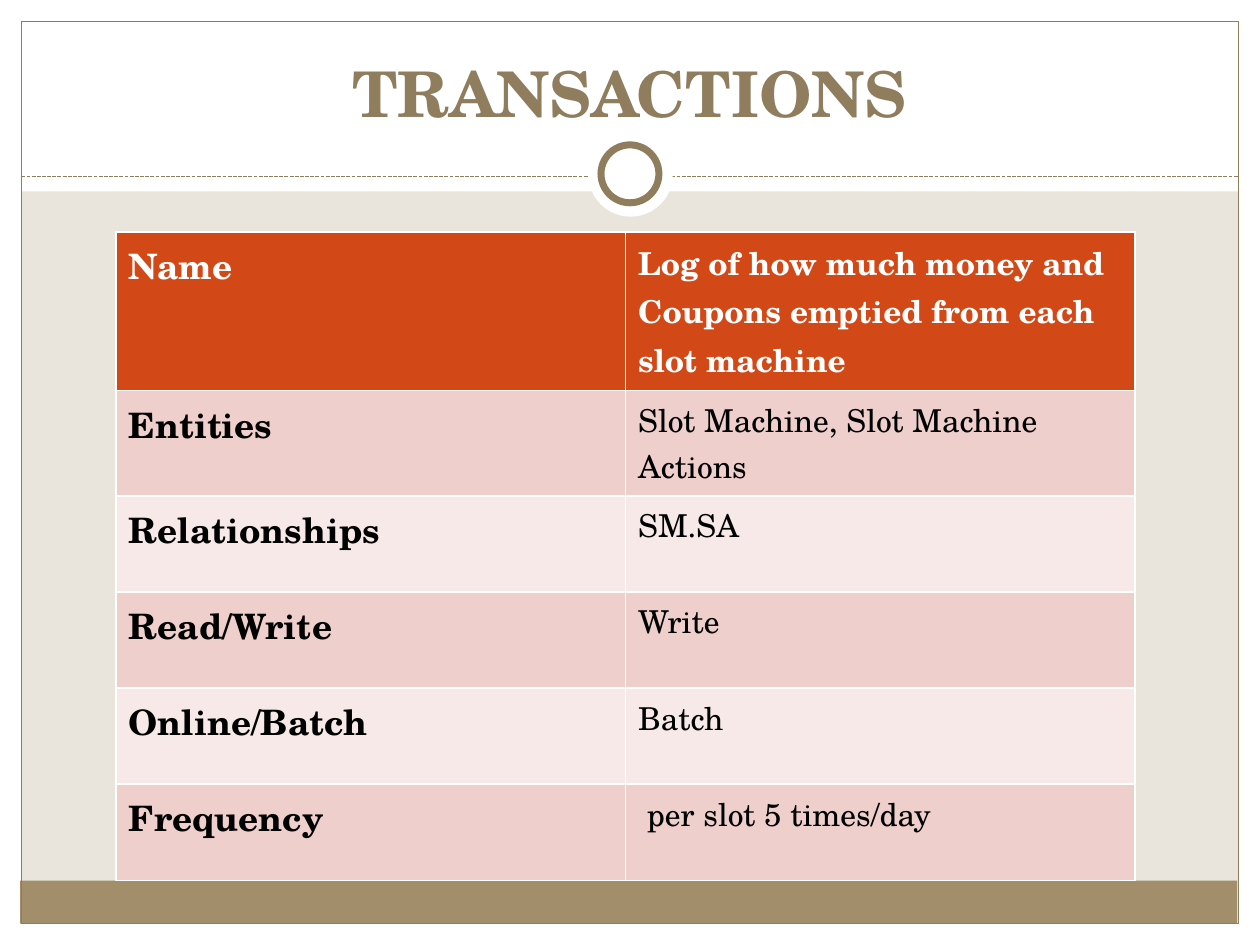
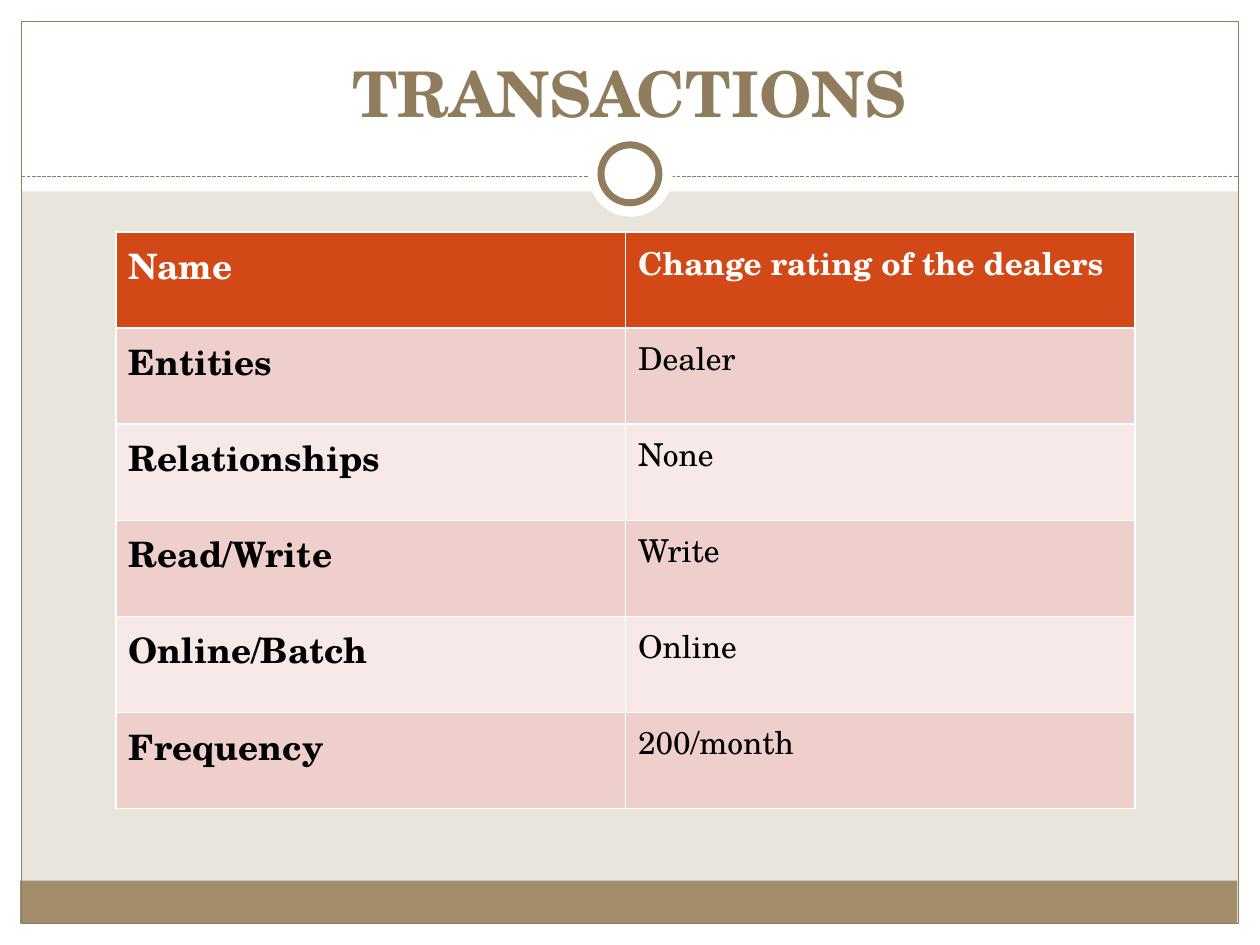
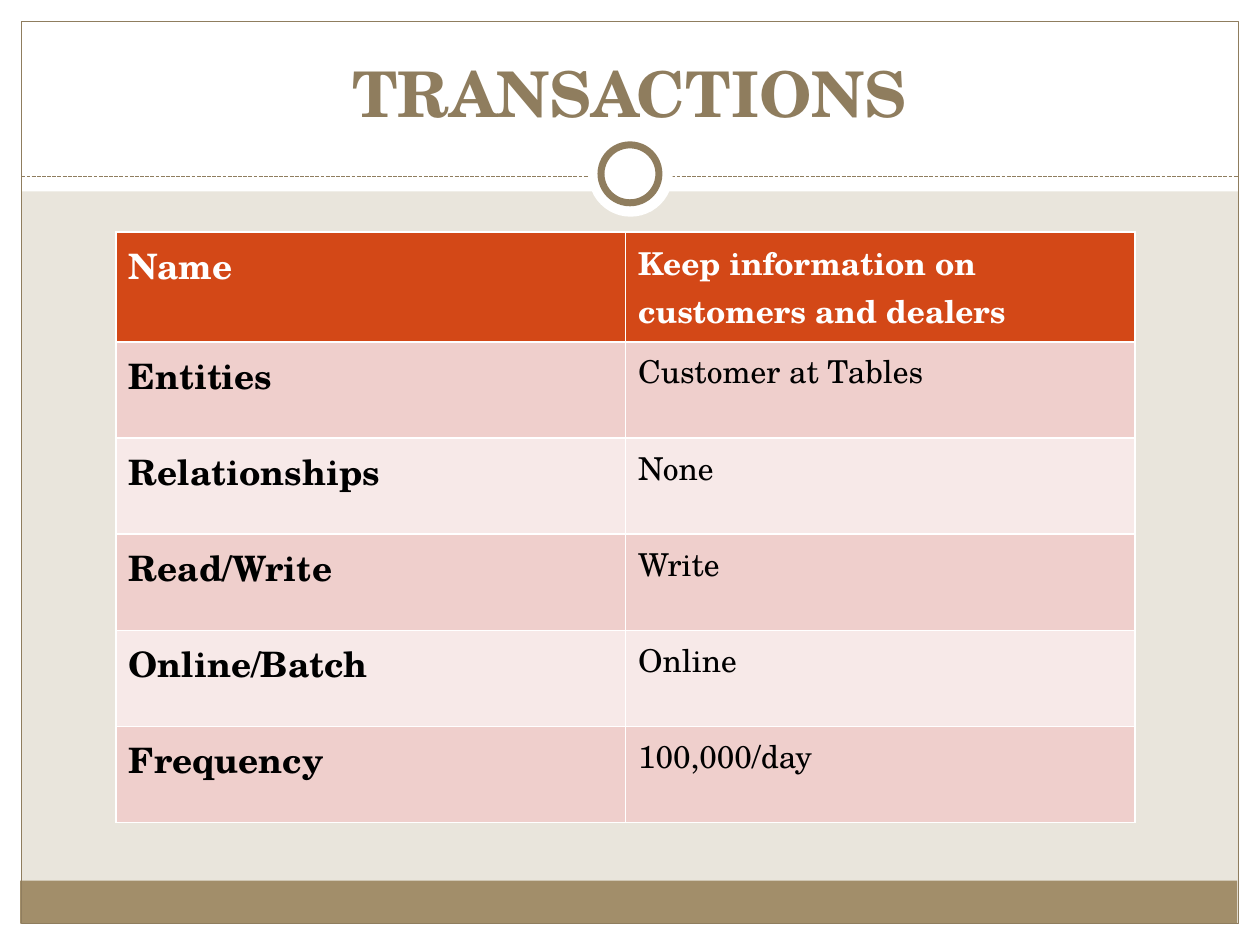
import pptx
import pptx.dml.color
import pptx.enum.dml
import pptx.enum.shapes
import pptx.enum.text
import pptx.oxml
import pptx.oxml.ns
import pptx.util

Inches = pptx.util.Inches
Pt = pptx.util.Pt
SHAPE = pptx.enum.shapes.MSO_SHAPE

FONT = "TeX Gyre Schola"
WHITE = "FFFFFF"
BLACK = "000000"
PAPER = "E9E5DC"
TAN = "A28E6A"
BROWN = "8F7D5E"
HEADER = "D34817"
BANDS = ("EFCFCC", "F7E9E8")

LABELS = ("Name", "Entities", "Relationships", "Read/Write",
          "Online/Batch", "Frequency")
TRANSACTIONS = (
    ("Log of how much money and Coupons emptied from each slot machine",
     "Slot Machine, Slot Machine Actions", "SM.SA", "Write", "Batch",
     " per slot 5 times/day"),
    ("Change rating of the dealers",
     "Dealer", "None", "Write", "Online", "200/month"),
    ("Keep information on customers and dealers",
     "Customer at Tables", "None", "Write", "Online", "100,000/day"),
)

# kind, (left, top, width, height), fill, line width
FRAME = (
    (SHAPE.RECTANGLE, (0, 7.33, 10, 0.17), WHITE, None),
    (SHAPE.RECTANGLE, (0, 0, 10, 1.52), WHITE, None),
    (SHAPE.RECTANGLE, (0, 0, 0.17, 7.5), WHITE, None),
    (SHAPE.RECTANGLE, (9.83, 0, 0.17, 7.5), WHITE, None),
    (SHAPE.RECTANGLE, (0.16, 6.99, 9.66, 0.34), TAN, None),
    (SHAPE.RECTANGLE, (0.17, 0.17, 9.66, 7.16), None, 0.75),
)
RING = (
    (SHAPE.OVAL, (4.67, 1.05, 0.67, 0.67), WHITE, None),
    (SHAPE.OVAL, (4.77, 1.15, 0.46, 0.46), WHITE, 4),
)


def color(value):
    return pptx.dml.color.RGBColor.from_string(value)


def paint(fill, value):
    fill.solid()
    fill.fore_color.rgb = color(value)


def style_font(font, size, value, bold):
    settings = {"name": FONT, "size": Pt(size), "bold": bold}
    for attribute, setting in settings.items():
        setattr(font, attribute, setting)
    font.color.rgb = color(value)


def add_preset(slide, kind, box, fill, line_width):
    preset = slide.shapes.add_shape(kind, *map(Inches, box))
    preset.shadow.inherit = False
    if fill:
        paint(preset.fill, fill)
    else:
        preset.fill.background()
    if line_width:
        preset.line.color.rgb = color(BROWN)
        preset.line.width = Pt(line_width)
    else:
        preset.line.fill.background()
    return preset


def add_divider(slide):
    divider = slide.shapes.add_connector(
        pptx.enum.shapes.MSO_CONNECTOR.STRAIGHT,
        Inches(0.17), Inches(1.4), Inches(9.83), Inches(1.4))
    divider.line.color.rgb = color(BROWN)
    divider.line.width = Pt(0.75)
    divider.line.dash_style = pptx.enum.dml.MSO_LINE.SQUARE_DOT
    divider.element.spPr.append(pptx.oxml.parse_xml(
        f"<a:effectLst {pptx.oxml.ns.nsdecls('a')}/>"))
    return divider


def decorate_layout(layout, slide):
    """Draw the shared frame on the slide, then move it behind the layout."""
    paint(layout.background.fill, PAPER)
    decor = [add_preset(slide, *part) for part in FRAME]
    decor.append(add_divider(slide))
    decor += [add_preset(slide, *part) for part in RING]
    for position, part in enumerate(decor, start=2):
        layout.shapes.element.insert(position, part.element)


def set_title(slide, text):
    title = slide.shapes.title
    box = {"left": 0.33, "top": 0.25, "width": 9.33, "height": 0.83}
    for side, length in box.items():
        setattr(title, side, Inches(length))
    frame = title.text_frame
    frame.text = text
    frame.auto_size = pptx.enum.text.MSO_AUTO_SIZE.NONE
    frame.vertical_anchor = pptx.enum.text.MSO_ANCHOR.BOTTOM
    heading = frame.paragraphs[0]
    heading.alignment = pptx.enum.text.PP_ALIGN.CENTER
    style_font(heading.runs[0].font, 36, BROWN, True)


def add_borders(cell):
    properties = cell._tc.get_or_add_tcPr()
    for side in "LRTB":
        properties.append(pptx.oxml.parse_xml(
            f'<a:ln{side} {pptx.oxml.ns.nsdecls("a")} w="{Pt(1)}">'
            f'<a:solidFill><a:srgbClr val="{WHITE}"/></a:solidFill>'
            f'</a:ln{side}>'))


def add_transaction_table(slide, details):
    table = slide.shapes.add_table(
        len(LABELS), 2, Inches(0.92), Inches(1.84),
        Inches(8.09), Inches(4.58)).table
    for row, entry in enumerate(zip(LABELS, details)):
        is_header = row == 0
        for column, text in enumerate(entry):
            is_label = column == 0
            cell = table.cell(row, column)
            cell.text = text
            style_font(cell.text_frame.paragraphs[0].runs[0].font,
                       20 if is_label else 18,
                       WHITE if is_header else BLACK,
                       is_header or is_label)
            add_borders(cell)
            paint(cell.fill, HEADER if is_header else BANDS[(row - 1) % 2])


def main():
    deck = pptx.Presentation()
    deck.slide_width = Inches(10)
    deck.slide_height = Inches(7.5)
    title_only = deck.slide_layouts[5]
    slides = [deck.slides.add_slide(title_only) for _ in TRANSACTIONS]
    decorate_layout(title_only, slides[0])
    for slide, details in zip(slides, TRANSACTIONS):
        set_title(slide, "TRANSACTIONS")
        add_transaction_table(slide, details)
    deck.save("out.pptx")


if __name__ == "__main__":
    main()
